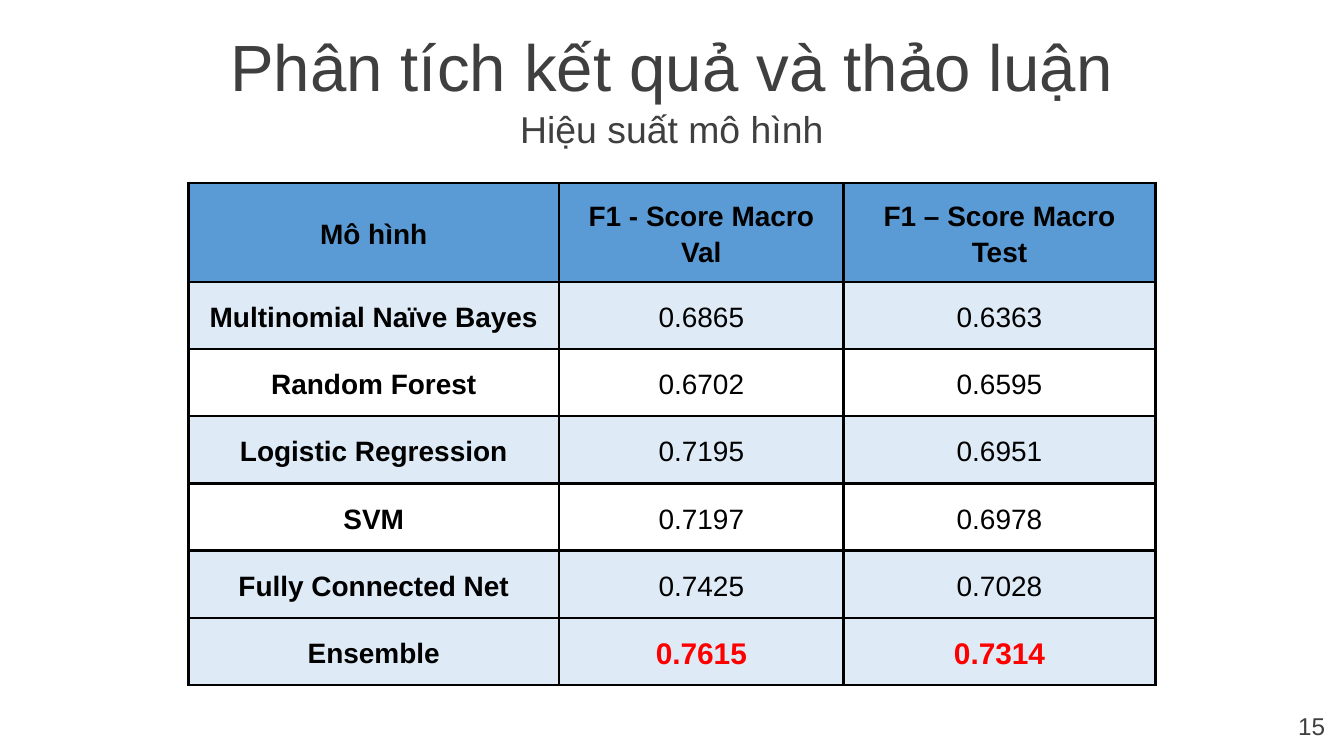
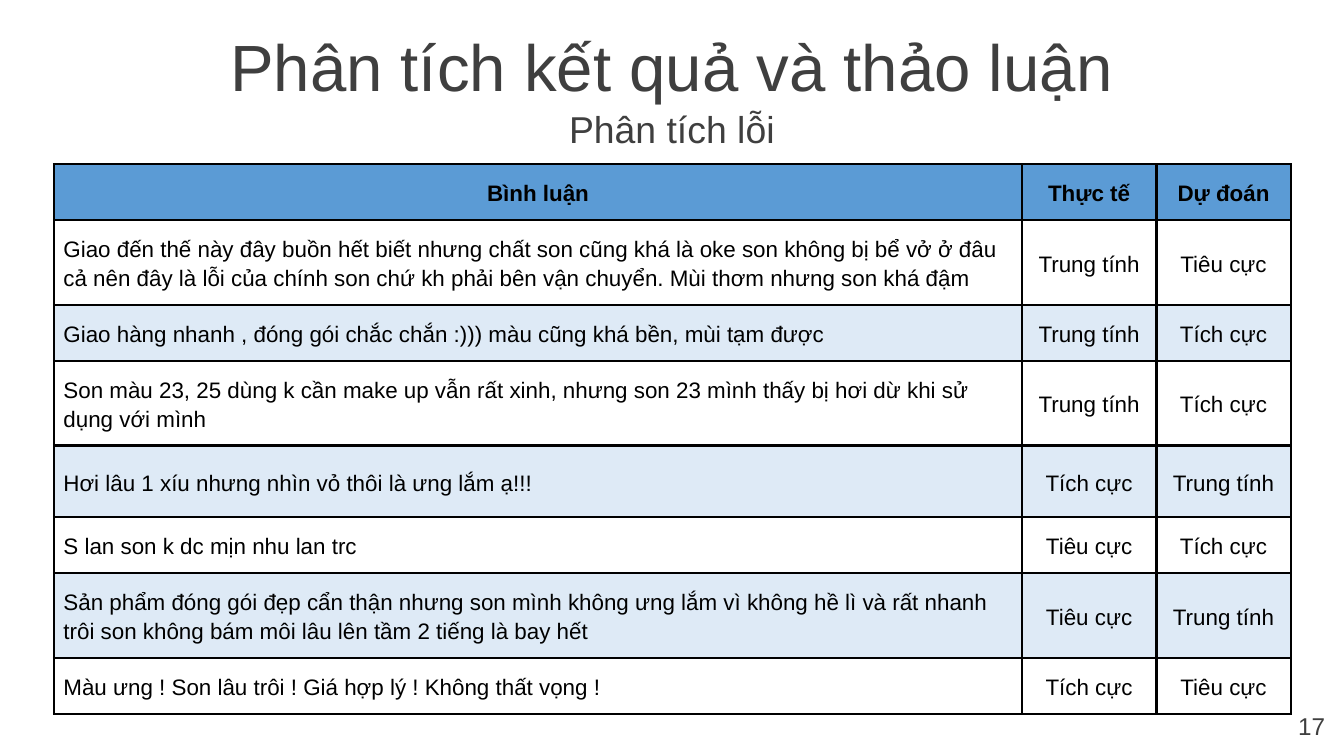
from lxml.etree import SubElement
from pptx import Presentation
from pptx.dml.color import RGBColor
from pptx.enum.text import MSO_ANCHOR as Anchor, MSO_AUTO_SIZE as AutoSize, PP_ALIGN as Align
from pptx.oxml.ns import qn
from pptx.util import Pt

FONT = "Arial"
INK, GREY, RED = "000000", "3F3F3F", "FF0000"
HEADER, BAND, WHITE = "5B9BD5", "DEEAF6", "FFFFFF"
WIDTH, HEIGHT = 720, 405
TITLE = "Phân tích kết quả và thảo luận"

SCORES = [
    ("Mô hình", "F1 - Score Macro Val", "F1 – Score Macro Test"),
    ("Multinomial Naïve Bayes", "0.6865", "0.6363"),
    ("Random Forest", "0.6702", "0.6595"),
    ("Logistic Regression", "0.7195", "0.6951"),
    ("SVM", "0.7197", "0.6978"),
    ("Fully Connected Net", "0.7425", "0.7028"),
    ("Ensemble", "0.7615", "0.7314"),
]

ERRORS = [
    ("Bình luận", "Thực tế", "Dự đoán"),
    ("Giao đến thế này đây buồn hết biết nhưng chất son cũng khá là oke son không bị bể vở "
     "ở đâu cả nên đây là lỗi của chính son chứ kh phải bên vận chuyển. Mùi thơm nhưng son "
     "khá đậm", "Trung tính", "Tiêu cực"),
    ("Giao hàng nhanh , đóng gói chắc chắn :))) màu cũng khá bền, mùi tạm được",
     "Trung tính", "Tích cực"),
    ("Son màu 23, 25 dùng k cần make up vẫn rất xinh, nhưng son 23 mình thấy bị hơi dừ khi "
     "sử dụng với mình", "Trung tính", "Tích cực"),
    ("Hơi lâu 1 xíu nhưng nhìn vỏ thôi là ưng lắm ạ!!!", "Tích cực", "Trung tính"),
    ("S lan son k dc mịn nhu lan trc", "Tiêu cực", "Tích cực"),
    ("Sản phẩm đóng gói đẹp cẩn thận nhưng son mình không ưng lắm vì không hề lì và rất nhanh "
     "trôi son không bám môi lâu lên tầm 2 tiếng là bay hết", "Tiêu cực", "Trung tính"),
    ("Màu ưng ! Son lâu trôi ! Giá hợp lý ! Không thất vọng !", "Tích cực", "Tiêu cực"),
]


def color(value):
    """Turn a hex string into a colour."""
    return RGBColor.from_string(value)


def format_text(frame, size, ink, align, bold=False):
    """Format every run of a text frame."""
    for para in frame.paragraphs:
        para.alignment = align
        para.space_before = Pt(0)
        for span in para.runs:
            font = span.font
            font.name, font.size, font.bold = FONT, Pt(size), bold
            font.color.rgb = color(ink)


def fill_box(box, area, text, size, align, anchor, margins):
    """Place a box in an area and set its text."""
    box.left, box.top, box.width, box.height = map(Pt, area)
    frame = box.text_frame
    frame.text = text
    frame.word_wrap, frame.auto_size = True, AutoSize.NONE
    frame.vertical_anchor = anchor
    frame.margin_left = frame.margin_right = Pt(margins[0])
    frame.margin_top = frame.margin_bottom = Pt(margins[1])
    format_text(frame, size, GREY, align)


def add_page(deck, subtitle, number):
    """Add a page with the shared title, a subtitle and its number."""
    page = deck.slides.add_slide(deck.slide_layouts[0])
    heading, subheading = page.placeholders
    fill_box(heading, (0, 12.5, WIDTH, 45), TITLE, 35, Align.CENTER, Anchor.MIDDLE, (7.2, 3.6))
    fill_box(subheading, (0, 57.5, WIDTH, 22.5), subtitle, 20, Align.CENTER, Anchor.MIDDLE,
             (7.2, 3.6))
    footer = page.shapes.add_textbox(0, 0, 0, 0)
    fill_box(footer, (674, 374, 43, 31), number, 13, Align.RIGHT, Anchor.TOP, (7.2, 7.2))
    return page


def add_borders(cell):
    """Draw a black line on all four sides of a cell."""
    properties = cell._tc.get_or_add_tcPr()
    for side in ("a:lnL", "a:lnR", "a:lnT", "a:lnB"):
        line = SubElement(properties, qn(side), w=str(Pt(1.5)))
        SubElement(SubElement(line, qn("a:solidFill")), qn("a:srgbClr"), val=INK)


def add_grid(page, origin, widths, heights, rows, banded, size):
    """Add a bordered table with a header row and banded rows."""
    left, top = origin
    table = page.shapes.add_table(len(rows), len(widths), Pt(left), Pt(top),
                                  Pt(sum(widths)), Pt(sum(heights))).table
    table.horz_banding = table.first_row = False
    for column, width in zip(table.columns, widths):
        column.width = Pt(width)
    for index, (row, height, texts) in enumerate(zip(table.rows, heights, rows)):
        row.height = Pt(height)
        shade = HEADER if index == 0 else BAND if index in banded else WHITE
        for cell, text in zip(row.cells, texts):
            add_borders(cell)
            cell.fill.solid()
            cell.fill.fore_color.rgb = color(shade)
            cell.vertical_anchor = Anchor.MIDDLE
            cell.margin_left = cell.margin_right = Pt(5)
            cell.margin_top = cell.margin_bottom = Pt(7.2)
            cell.text_frame.text = text
            cell.text_frame.paragraphs[0].line_spacing = 1.15
            format_text(cell.text_frame, size, INK, Align.CENTER, bold=index == 0)
    return table


def add_score_page(deck):
    """Add the page with the score of each model."""
    page = add_page(deck, "Hiệu suất mô hình", "15")
    table = add_grid(page, (101, 98), (198.5, 152.5, 167), [53] + [36] * 6, SCORES,
                     {1, 3, 5, 6}, 15)
    last = len(SCORES) - 1
    for index in range(1, len(SCORES)):
        format_text(table.cell(index, 0).text_frame, 15, INK, Align.CENTER, bold=True)
    for column in (1, 2):
        format_text(table.cell(last, column).text_frame, 16, RED, Align.CENTER, bold=True)


def add_error_page(deck):
    """Add the page with the wrongly predicted comments."""
    page = add_page(deck, "Phân tích lỗi", "17")
    table = add_grid(page, (29, 88), (518.5, 72, 72), (30, 45, 30, 45, 38.5, 30, 45, 30),
                     ERRORS, {2, 4, 6}, 12)
    for index in range(1, len(ERRORS)):
        format_text(table.cell(index, 0).text_frame, 12, INK, Align.LEFT)


def main():
    """Build and save the deck."""
    deck = Presentation()
    deck.slide_width, deck.slide_height = Pt(WIDTH), Pt(HEIGHT)
    add_score_page(deck)
    add_error_page(deck)
    deck.save("out.pptx")


if __name__ == "__main__":
    main()
